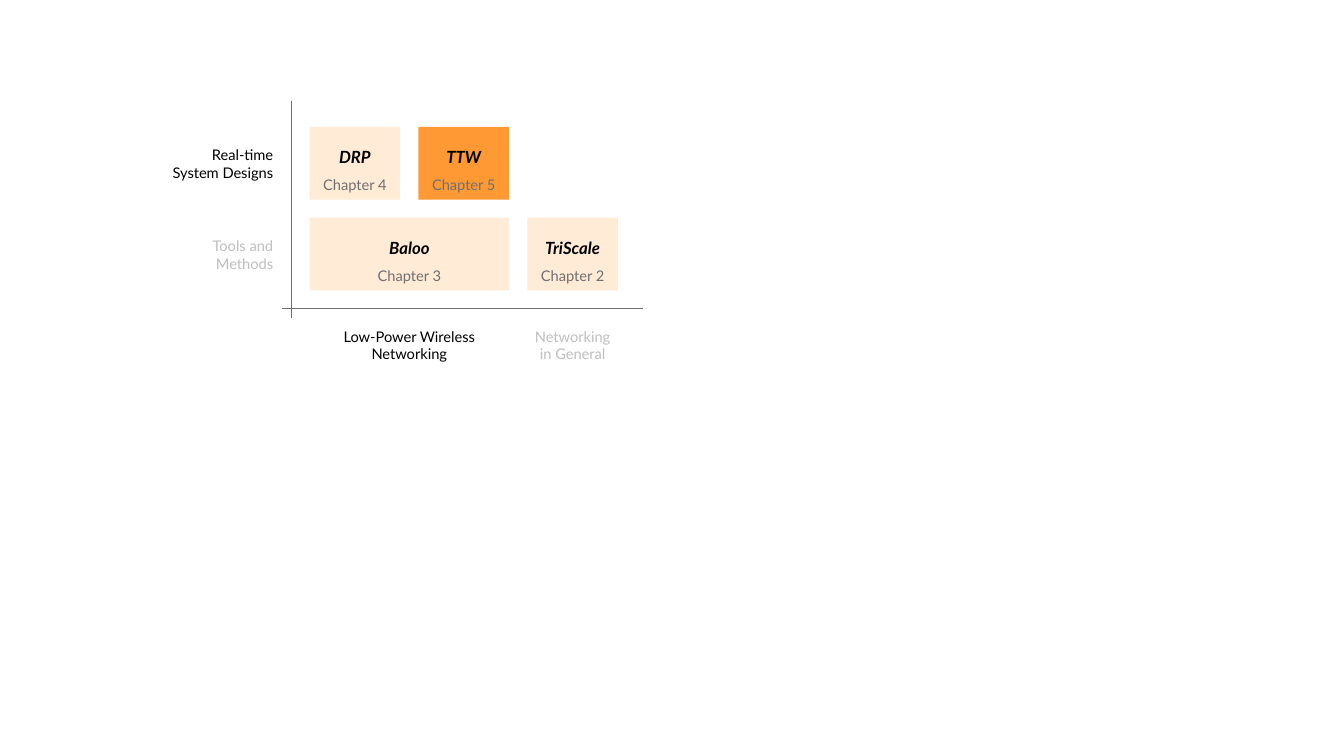
from pptx import Presentation
from pptx import util as u
from pptx.dml.color import RGBColor
from pptx.enum import shapes, text
from pptx.oxml.ns import qn
from lxml import etree

PX = 9144  # EMU per px, 100 px to the inch

BLACK = RGBColor(0x00, 0x00, 0x00)
GREY = RGBColor(0x70, 0x70, 0x70)
FADED = RGBColor(0xBF, 0xBF, 0xBF)
CREAM = RGBColor(0xFF, 0xEB, 0xD6)
ORANGE = RGBColor(0xFF, 0x99, 0x33)

# Chapter grid
GRID_LEFT, GRID_TOP = 307, 126
CELL_WIDTH, CELL_HEIGHT, GAP = 90, 72, 18
CAPTION_HEIGHT = 52

SYSTEM_NAME = {"size": u.Pt(12), "bold": True, "italic": True}
PLAIN = {"size": u.Pt(10.5), "bold": False, "italic": False}

ALIGN = text.PP_ALIGN
ANCHOR = text.MSO_ANCHOR


def box(*lengths):
    return [u.Emu(length * PX) for length in lengths]


def column_left(column):
    return GRID_LEFT + column * (CELL_WIDTH + GAP)


def span_width(columns):
    return columns * CELL_WIDTH + (columns - 1) * GAP


def add_label(parent, place, lines, align, anchor=ANCHOR.TOP, spacing=1.0):
    """Each line is (words, colour, font format)."""
    frame = parent.add_textbox(*box(*place)).text_frame
    layout = {"margin_left": 0, "margin_top": 0, "margin_right": 0,
              "margin_bottom": 0, "word_wrap": True, "vertical_anchor": anchor}
    for key, value in layout.items():
        setattr(frame, key, value)
    for index, (words, colour, style) in enumerate(lines):
        paragraph = frame.add_paragraph() if index else frame.paragraphs[0]
        paragraph.alignment = align
        paragraph.line_spacing = spacing
        run = paragraph.add_run()
        run.text = words
        for key, value in {"name": "Lato", **style}.items():
            setattr(run.font, key, value)
        run.font.color.rgb = colour


def add_chapter(slide, name, chapter, column, row, columns, colour):
    group = slide.shapes.add_group_shape().shapes
    left, width = column_left(column), span_width(columns)
    top = GRID_TOP + row * (CELL_HEIGHT + GAP)
    card = group.add_shape(shapes.MSO_SHAPE.RECTANGLE,
                           *box(left, top, width, CELL_HEIGHT))
    card.shadow.inherit = False
    card.fill.solid()
    card.fill.fore_color.rgb = colour
    card.line.fill.background()
    # The caption is as wide as its card, so the number stays on its line
    caption = (left, top + (CELL_HEIGHT - CAPTION_HEIGHT) // 2,
               width, CAPTION_HEIGHT)
    add_label(group, caption,
              [(name, BLACK, SYSTEM_NAME), (f"Chapter {chapter}", GREY, PLAIN)],
              ALIGN.CENTER, spacing=1.5)


def add_axis(slide, *ends):
    axis = slide.shapes.add_connector(shapes.MSO_CONNECTOR.STRAIGHT, *box(*ends))
    axis.line.color.rgb = GREY
    axis.line.width = u.Pt(1)
    etree.SubElement(axis._element.spPr, qn("a:effectLst"))


def main():
    deck = Presentation()
    deck.slide_width, deck.slide_height = box(1333, 750)
    slide = deck.slides.add_slide(deck.slide_layouts[6])

    # Chapters: name, number, column, row, columns spanned, colour
    for chapter in [("Baloo", 3, 0, 1, 2, CREAM),
                    ("TriScale", 2, 2, 1, 1, CREAM),
                    ("TTW", 5, 1, 0, 1, ORANGE),
                    ("DRP", 4, 0, 0, 1, CREAM)]:
        add_chapter(slide, *chapter)

    # Axes
    add_axis(slide, 280, 306, 638, 306)
    add_axis(slide, 289, 100, 289, 315)

    # Network scope below the horizontal axis
    for column, columns, lines, colour in [
            (0, 2, ("Low-Power Wireless", "Networking"), BLACK),
            (2, 1, ("Networking", "in General"), FADED)]:
        add_label(slide.shapes,
                  (column_left(column), 325, span_width(columns), 35),
                  [(line, colour, PLAIN) for line in lines], ALIGN.CENTER)

    # Contribution type beside the vertical axis
    for top, lines, colour in [(235, ("Tools and", "Methods"), FADED),
                               (145, ("Real-time", "System Designs"), BLACK)]:
        add_label(slide.shapes, (161, top, 110, 35),
                  [(line, colour, PLAIN) for line in lines],
                  ALIGN.RIGHT, ANCHOR.MIDDLE)

    deck.save("out.pptx")


if __name__ == "__main__":
    main()
